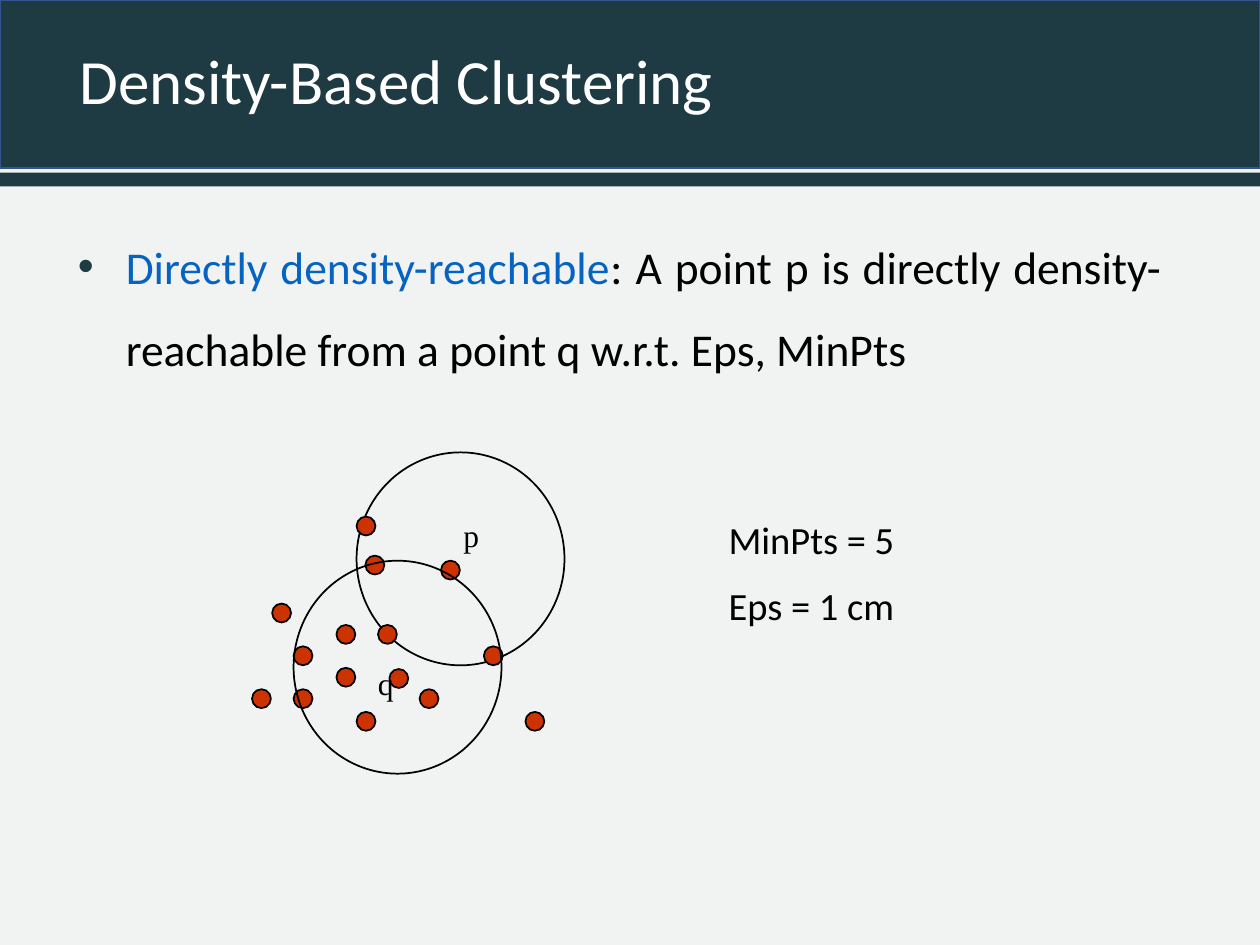
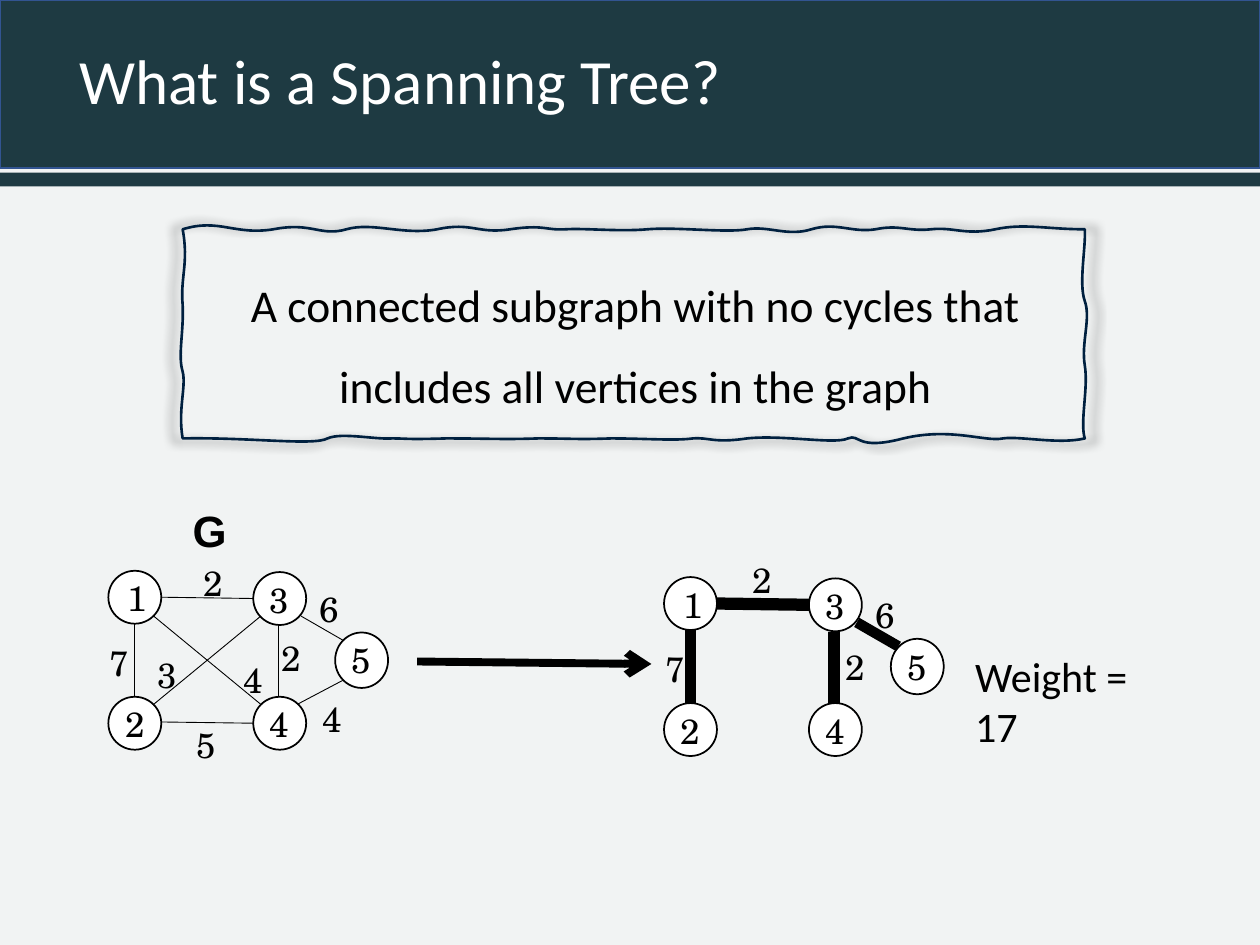
from lxml.etree import SubElement
from pptx import Presentation
from pptx.dml.color import RGBColor
from pptx.enum.shapes import MSO_CONNECTOR as Line, MSO_SHAPE as Shape
from pptx.enum.text import MSO_ANCHOR as Anchor, MSO_AUTO_SIZE as Fit, PP_ALIGN as Align
from pptx.oxml.ns import qn
from pptx.util import Inches, Pt

# Shared look
COLORS = {
    "paper": "F1F3F3", "band": "1E3A42", "edge": "325491", "white": "FFFFFF",
    "black": "000000", "term": "0563C1", "dot": "CC3300", "frame": "00203F",
}
SANS, SERIF, SCHOOL = "Calibri", "Times New Roman", "TeX Gyre Schola"

# Density slide: each stage is a set of dots, then the ring drawn over them
DENSITY = "Density-Based Clustering"
TERM = "Directly density-reachable"
MEANING = ": A point p is directly density-reachable from a point q w.r.t. Eps, MinPts"
LIMITS = ["MinPts = 5", "Eps = 1 cm"]
DOT = 0.15
RING = (1.65, 1.69)
STAGES = [
    ([(2.16, 4.79), (2.67, 4.96), (2.9, 4.41), (2, 5.47), (2.33, 5.13),
      (2.33, 5.47), (2.83, 5.65)], (2.83, 3.59)),
    ([(2.83, 4.1), (3.84, 5.13), (3.5, 4.45), (2.67, 5.3), (3, 4.96),
      (3.33, 5.47), (4.17, 5.65), (3.09, 5.31)], (2.33, 4.45)),
]
NAMES = [("p", 3.58, 4.05), ("q", 2.9, 5.22)]

# Spanning tree slide: the tree repeats part of the graph, shifted
SPANNING = "What is a Spanning Tree?"
CLAIM = "A connected subgraph with no cycles that includes all vertices in the graph"
SHIFT = (4.41, 0.05)
NODES = {  # left, top, height, left of the number
    "1": (0.86, 4.53, 0.42, 0.88), "2": (0.86, 5.53, 0.42, 0.86),
    "3": (2.01, 4.54, 0.42, 2.01), "4": (2.01, 5.53, 0.42, 2.01),
    "5": (2.66, 5.02, 0.44, 2.66),
}
EDGES = {  # from x, y, to x, y
    "1-3": (1.28, 4.74, 2.01, 4.75), "2-3": (2.07, 4.89, 1.22, 5.59),
    "3-4": (2.21, 4.97, 2.21, 5.53), "4-5": (2.36, 5.59, 2.72, 5.4),
    "1-2": (1.07, 4.95, 1.07, 5.53), "2-4": (1.28, 5.73, 2.01, 5.74),
    "3-5": (2.39, 4.89, 2.72, 5.08), "1-4": (1.22, 4.89, 2.07, 5.59),
}
COSTS = {  # text, left, top, width
    "1-3": ("2", 1.46, 4.41, 0.46), "2-3": ("3", 1.05, 5.14, 0.55),
    "3-4": ("2", 2.07, 5, 0.49), "4-5": ("4", 2.41, 5.49, 0.46),
    "1-2": ("7", 0.77, 5.04, 0.36), "2-4": ("5", 1.46, 5.69, 0.36),
    "3-5": ("6", 2.42, 4.61, 0.39), "1-4": ("4", 1.83, 5.18, 0.36),
}
TREE = {"1-3": 7, "3-4": 7, "1-2": 6, "3-5": 6}  # edge widths
NUDGE = {"1-3": (-0.05, -0.08), "3-4": (0.06, 0.02)}  # clear of thick edges

# Wavy frame: start, then cubic curves (two controls, end)
START = (1.45, 1.82)
WAVES = [
    (1.74, 1.73, 1.86, 1.87, 2.17, 1.82), (2.48, 1.76, 2.54, 1.88, 2.75, 1.82),
    (2.96, 1.76, 3.2, 1.87, 3.47, 1.82), (3.75, 1.76, 3.79, 1.86, 4.05, 1.82),
    (4.32, 1.78, 4.33, 1.83, 4.49, 1.82), (4.64, 1.81, 4.91, 1.84, 5.14, 1.82),
    (5.37, 1.8, 5.77, 1.85, 5.93, 1.82), (6.1, 1.79, 6.25, 1.88, 6.44, 1.82),
    (6.64, 1.76, 6.76, 1.85, 6.95, 1.82), (7.14, 1.78, 7.21, 1.84, 7.39, 1.82),
    (7.57, 1.8, 7.66, 1.87, 7.9, 1.82), (8.13, 1.77, 8.31, 1.82, 8.61, 1.82),
    (8.62, 1.96, 8.56, 2.25, 8.61, 2.39), (8.66, 2.53, 8.58, 2.72, 8.61, 2.9),
    (8.64, 3.08, 8.57, 3.35, 8.61, 3.48), (8.4, 3.53, 8.1, 3.46, 7.96, 3.48),
    (7.82, 3.51, 7.55, 3.39, 7.17, 3.48), (6.79, 3.58, 6.83, 3.44, 6.73, 3.48),
    (6.63, 3.53, 6.21, 3.45, 5.93, 3.48), (5.66, 3.52, 5.63, 3.47, 5.5, 3.48),
    (5.36, 3.5, 5.12, 3.48, 4.85, 3.48), (4.57, 3.49, 4.55, 3.48, 4.27, 3.48),
    (3.99, 3.49, 3.88, 3.48, 3.54, 3.48), (3.21, 3.49, 3.24, 3.48, 3.11, 3.48),
    (2.98, 3.49, 2.71, 3.43, 2.6, 3.48), (2.49, 3.54, 1.98, 3.47, 1.45, 3.48),
    (1.41, 3.25, 1.48, 3.07, 1.45, 2.95), (1.41, 2.82, 1.46, 2.64, 1.45, 2.42),
    (1.43, 2.2, 1.5, 2.09, 1.45, 1.82),
]


def color(name):
    return RGBColor.from_string(COLORS[name])


def style(para, size, face=SANS, ink="black", align=Align.LEFT, bold=False):
    para.alignment = align
    font = para.font
    font.size, font.name, font.bold = Pt(size), face, bold
    font.color.rgb = color(ink)


def paint(shape, fill=None, line=None, width=1):
    shape.shadow.inherit = False
    if fill:
        shape.fill.solid()
        shape.fill.fore_color.rgb = color(fill)
    else:
        shape.fill.background()
    if line:
        shape.line.color.rgb = color(line)
        shape.line.width = Pt(width)
    else:
        shape.line.fill.background()


def add_part(slide, kind, box, fill=None, line=None):
    part = slide.shapes.add_shape(kind, *map(Inches, box))
    paint(part, fill, line)
    return part


def add_text(slide, box, lines, size, gap=0, **look):
    frame = slide.shapes.add_textbox(*map(Inches, box)).text_frame
    frame.word_wrap = True
    for i, text in enumerate(lines):
        para = frame.add_paragraph() if i else frame.paragraphs[0]
        para.text = text
        if i:
            para.space_before = Pt(gap)
        style(para, size, **look)
    return frame


def add_line(slide, ends, width, arrow=False):
    line = slide.shapes.add_connector(Line.STRAIGHT, *map(Inches, ends))
    line.line.color.rgb = color("black")
    line.line.width = Pt(width)
    props = line._element.spPr
    if arrow:
        SubElement(props.find(qn("a:ln")), qn("a:tailEnd"), type="arrow")
    SubElement(props, qn("a:effectLst"))


def add_bands(slide, layout):
    """Draw the bands, then move them to the layout that all slides share."""
    bands = [((0, 0, 10, 4 / 3), "edge"), ((0, 1.37, 10, 0.11), None)]
    for i, (box, line) in enumerate(bands):
        band = add_part(slide, Shape.RECTANGLE, box, "band", line)
        layout.shapes.element.insert(2 + i, band._element)


def add_slide(deck, layout, text):
    slide = deck.slides.add_slide(layout)
    title = slide.shapes.title
    title.left, title.top, title.width, title.height = map(Inches, (0.53, 0, 9.47, 1.33))
    title.text = text
    frame = title.text_frame
    frame.auto_size, frame.vertical_anchor = Fit.NONE, Anchor.MIDDLE
    frame.paragraphs[0].line_spacing = 0.9
    style(frame.paragraphs[0], 36, ink="white")
    return slide


def fill_density(slide):
    # Definition with a bullet
    frame = slide.shapes.add_textbox(*map(Inches, (0.52, 1.63, 9, 5.67))).text_frame
    frame.word_wrap = True
    frame.margin_right = Inches(0.3)
    para = frame.paragraphs[0]
    para.line_spacing = 1.5
    props = para._p.get_or_add_pPr()
    props.set("marL", str(Inches(0.38)))
    props.set("indent", str(-Inches(0.38)))
    tint = SubElement(props, qn("a:buClr"))
    SubElement(tint, qn("a:srgbClr"), val=COLORS["band"])
    SubElement(props, qn("a:buFont"), typeface="Arial")
    SubElement(props, qn("a:buChar"), char="•")
    style(para, 26, align=Align.JUSTIFY)
    for text, ink in ((TERM, "term"), (MEANING, "black")):
        run = para.add_run()
        run.text = text
        run.font.color.rgb = color(ink)

    # Limits, dots and rings
    add_text(slide, (5.07, 4.05, 2.74, 1.03), LIMITS, 22, gap=11, align=Align.CENTER)
    for dots, ring in STAGES:
        for spot in dots:
            add_part(slide, Shape.OVAL, (*spot, DOT, DOT), "dot", "black")
        add_part(slide, Shape.OVAL, (*ring, *RING), line="black")
    for name, x, y in NAMES:
        add_text(slide, (x, y, 0.57, 0.7), [name], 18, face=SERIF)


def add_graph(slide, widths, shift=(0, 0), nudge={}):
    dx, dy = shift

    def add_number(text, x, y, wide):
        add_text(slide, (x + dx, y + dy, wide, 0.44), [text], 20,
                 face=SCHOOL, align=Align.CENTER)

    for x, y, high, _ in NODES.values():
        add_part(slide, Shape.OVAL, (x + dx, y + dy, 0.42, high), "white", "black")
    for name, (_, y, _, x) in NODES.items():
        add_number(name, x, y, 0.42)
    for edge, width in widths.items():
        x1, y1, x2, y2 = EDGES[edge]
        add_line(slide, (x1 + dx, y1 + dy, x2 + dx, y2 + dy), width)
    for edge in widths:
        text, x, y, wide = COSTS[edge]
        nx, ny = nudge.get(edge, (0, 0))
        add_number(text, x + nx, y + ny, wide)


def add_frame(slide):
    """Outline the frame, then bend each side piece into its cubic curve."""
    pen = slide.shapes.build_freeform(*map(Inches, START))
    pen.add_line_segments([tuple(map(Inches, wave[4:])) for wave in WAVES], close=True)
    frame = pen.convert_to_shape()
    paint(frame, line="frame", width=1.5)
    props = frame._element.spPr
    for piece, wave in zip(list(props.iter(qn("a:lnTo"))), WAVES):
        curve = SubElement(piece.getparent(), qn("a:cubicBezTo"))
        for x, y in zip(wave[::2], wave[1::2]):
            SubElement(curve, qn("a:pt"), x=str(Inches(x) - frame.left),
                       y=str(Inches(y) - frame.top))
        piece.getparent().replace(piece, curve)
    # Soft shadow, slightly larger than the frame
    effects = props.find(qn("a:effectLst"))
    glow = SubElement(effects, qn("a:outerShdw"), blurRad=str(Pt(5)), sx="102000",
                      sy="102000", algn="ctr", rotWithShape="0")
    shade = SubElement(glow, qn("a:srgbClr"), val=COLORS["black"])
    SubElement(shade, qn("a:alpha"), val="40000")


def fill_spanning(slide):
    add_graph(slide, dict.fromkeys(EDGES, 0.5))
    add_line(slide, (3.31, 5.25, 5.17, 5.27), 4.5, arrow=True)
    add_graph(slide, TREE, SHIFT, NUDGE)
    add_text(slide, (7.64, 5.11, 1.78, 0.5), ["Weight = 17"], 24)
    add_text(slide, (1.43, 3.95, 0.48, 0.52), ["G"], 25, face="Arial", bold=True)
    add_frame(slide)
    claim = add_text(slide, (1.65, 1.93, 6.79, 1.41), [CLAIM], 26, align=Align.CENTER)
    claim.paragraphs[0].line_spacing = 1.5


def main():
    deck = Presentation()
    deck.slide_width, deck.slide_height = Inches(10), Inches(7.5)
    layout = deck.slide_layouts[5]
    layout.background.fill.solid()
    layout.background.fill.fore_color.rgb = color("paper")
    density = add_slide(deck, layout, DENSITY)
    add_bands(density, layout)
    fill_density(density)
    fill_spanning(add_slide(deck, layout, SPANNING))
    deck.save("out.pptx")


if __name__ == "__main__":
    main()
